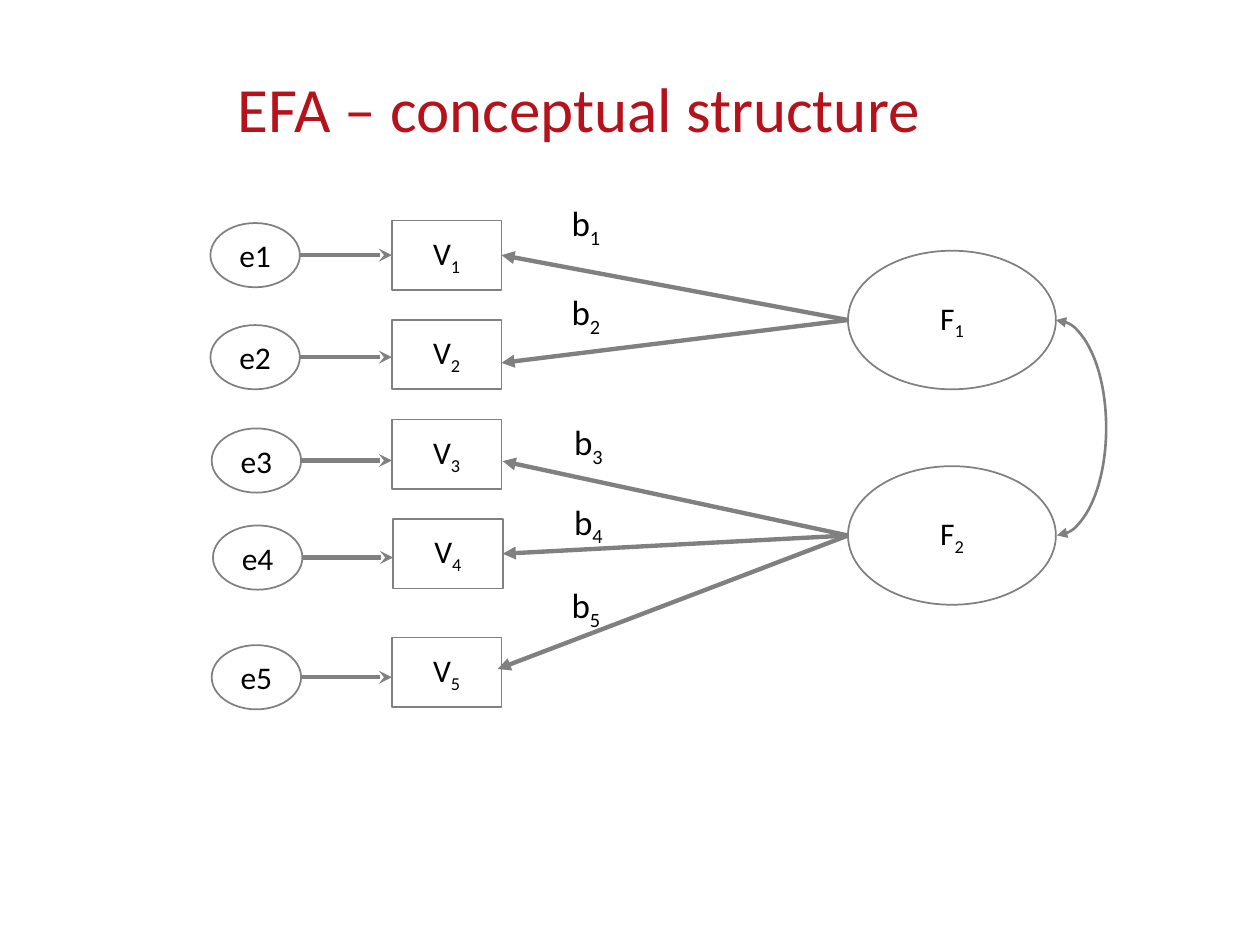
from pptx import Presentation
from pptx.dml.color import RGBColor
from pptx.enum.shapes import MSO_CONNECTOR, MSO_SHAPE
from pptx.enum.text import MSO_ANCHOR, PP_ALIGN
from pptx.oxml.ns import qn
from pptx.util import Inches, Pt
from lxml import etree

RED = RGBColor(0xB5, 0x12, 0x1B)
GRAY = RGBColor(0x80, 0x80, 0x80)
BLACK = RGBColor(0x00, 0x00, 0x00)
OVAL, RECTANGLE, ARC = MSO_SHAPE.OVAL, MSO_SHAPE.RECTANGLE, MSO_SHAPE.ARC
STRAIGHT = MSO_CONNECTOR.STRAIGHT
MIDDLE, CENTER = MSO_ANCHOR.MIDDLE, PP_ALIGN.CENTER
LEFT_SIDE, RIGHT_SIDE = 1, 3
FONT = "Calibri"

# The slide is a grid of 100 columns by 75 rows of square cells.
CELL = Inches(0.1)
ERROR_WIDTH, ERROR_HEIGHT = 7.1, 5.1
VARIABLE_WIDTH, VARIABLE_HEIGHT = 8.7, 5.5
FACTOR_LEFT, FACTOR_WIDTH, FACTOR_HEIGHT = 67.3, 16.5, 11
LOADING_WIDTH, LOADING_HEIGHT = 6.8, 4.4
FACTOR_TOPS = [19.9, 37]

# error left and top, variable left and top, loading left and top,
# loading arrow tip, index of the factor
VARIABLES = [
    ((16.7, 17.7), (31.1, 17.5), (43.1, 15.5), (39.8, 20.25), 0),
    ((16.7, 25.8), (31.1, 25.4), (43.1, 22.6), (39.8, 28.8), 0),
    ((16.8, 34), (31.1, 33.3), (43.3, 32.9), (39.9, 36.6), 1),
    ((16.9, 41.7), (31.2, 41.2), (43.3, 39.2), (39.9, 43.95), 1),
    ((16.8, 51.2), (31.1, 50.6), (43.1, 45.8), (39.5, 53.1), 1),
]


def add_node(kind, left, top, width, height, letter, number, subscript=True, size=18):
    """Add a centred label in an outlined shape, or in a text box if kind is None."""
    frame = [round(length * CELL) for length in (left, top, width, height)]
    if kind is None:
        node = page.shapes.add_textbox(*frame)
    else:
        node = page.shapes.add_shape(kind, *frame)
        node.shadow.inherit = False
        node.fill.background()
        node.line.color.rgb = GRAY
        node.line.width = Pt(1)
        node.text_frame.vertical_anchor = MIDDLE
    node.text_frame.word_wrap = True
    para = node.text_frame.paragraphs[0]
    para.alignment = CENTER
    para.font.name = FONT
    para.font.size = Pt(size)
    para.font.color.rgb = BLACK
    if subscript:
        para.add_run().text = letter
        span = para.add_run()
        span.text = str(number)
        span.font._element.set("baseline", "-25000")
    else:
        para.add_run().text = f"{letter}{number}"
    return node


def style_arrow(arrow, width, **ends):
    """Give a line its colour, width and arrowheads (headEnd before tailEnd)."""
    arrow.line.color.rgb = GRAY
    arrow.line.width = Pt(width)
    line = arrow.line._get_or_add_ln()
    for end, kind in ends.items():
        etree.SubElement(line, qn(f"a:{end}"), type=kind)
    etree.SubElement(arrow._element.spPr, qn("a:effectLst"))


deck = Presentation()
deck.slide_width, deck.slide_height = 100 * CELL, 75 * CELL
page = deck.slides.add_slide(deck.slide_layouts[6])

title = page.shapes.add_textbox(*(round(length * CELL) for length in (17.9, 2.8, 74, 12.6)))
title.text_frame.word_wrap = True
title.text_frame.vertical_anchor = MIDDLE
para = title.text_frame.paragraphs[0]
para.text = "EFA – conceptual structure"
para.line_spacing = Pt(35)
para.font.name = FONT
para.font.size = Pt(36)
para.font.color.rgb = RED

for number, top in enumerate(FACTOR_TOPS, 1):
    add_node(OVAL, FACTOR_LEFT, top, FACTOR_WIDTH, FACTOR_HEIGHT, "F", number)

for number, (error, variable, loading, tip, factor) in enumerate(VARIABLES, 1):
    add_node(OVAL, *error, ERROR_WIDTH, ERROR_HEIGHT, "e", number, subscript=False)
    box = add_node(RECTANGLE, *variable, VARIABLE_WIDTH, VARIABLE_HEIGHT, "V", number)
    add_node(None, *loading, LOADING_WIDTH, LOADING_HEIGHT, "b", number, size=20)
    box_middle = variable[1] + VARIABLE_HEIGHT / 2

    error_middle = error[1] + ERROR_HEIGHT / 2
    points = (error[0] + ERROR_WIDTH, error_middle, variable[0], error_middle)
    error_arrow = page.shapes.add_connector(STRAIGHT, *(round(value * CELL) for value in points))
    if abs(error_middle - box_middle) < 0.1:
        error_arrow.end_connect(box, LEFT_SIDE)
    style_arrow(error_arrow, 2.5, tailEnd="stealth")

    points = (*tip, FACTOR_LEFT, FACTOR_TOPS[factor] + FACTOR_HEIGHT / 2)
    loading_arrow = page.shapes.add_connector(STRAIGHT, *(round(value * CELL) for value in points))
    if abs(tip[1] - box_middle) < 0.1:
        loading_arrow.begin_connect(box, RIGHT_SIDE)
    style_arrow(loading_arrow, 2.5, headEnd="triangle")

# The correlation arc runs between the middles of the two factors.
correlation = page.shapes.add_shape(
    ARC, *(round(length * CELL) for length in (79.8, 25.4, 8, FACTOR_TOPS[1] - FACTOR_TOPS[0])))
correlation.adjustments[0] = 162
correlation.adjustments[1] = 53.65
correlation.fill.background()
style_arrow(correlation, 1.5, headEnd="triangle", tailEnd="triangle")

deck.save("out.pptx")
